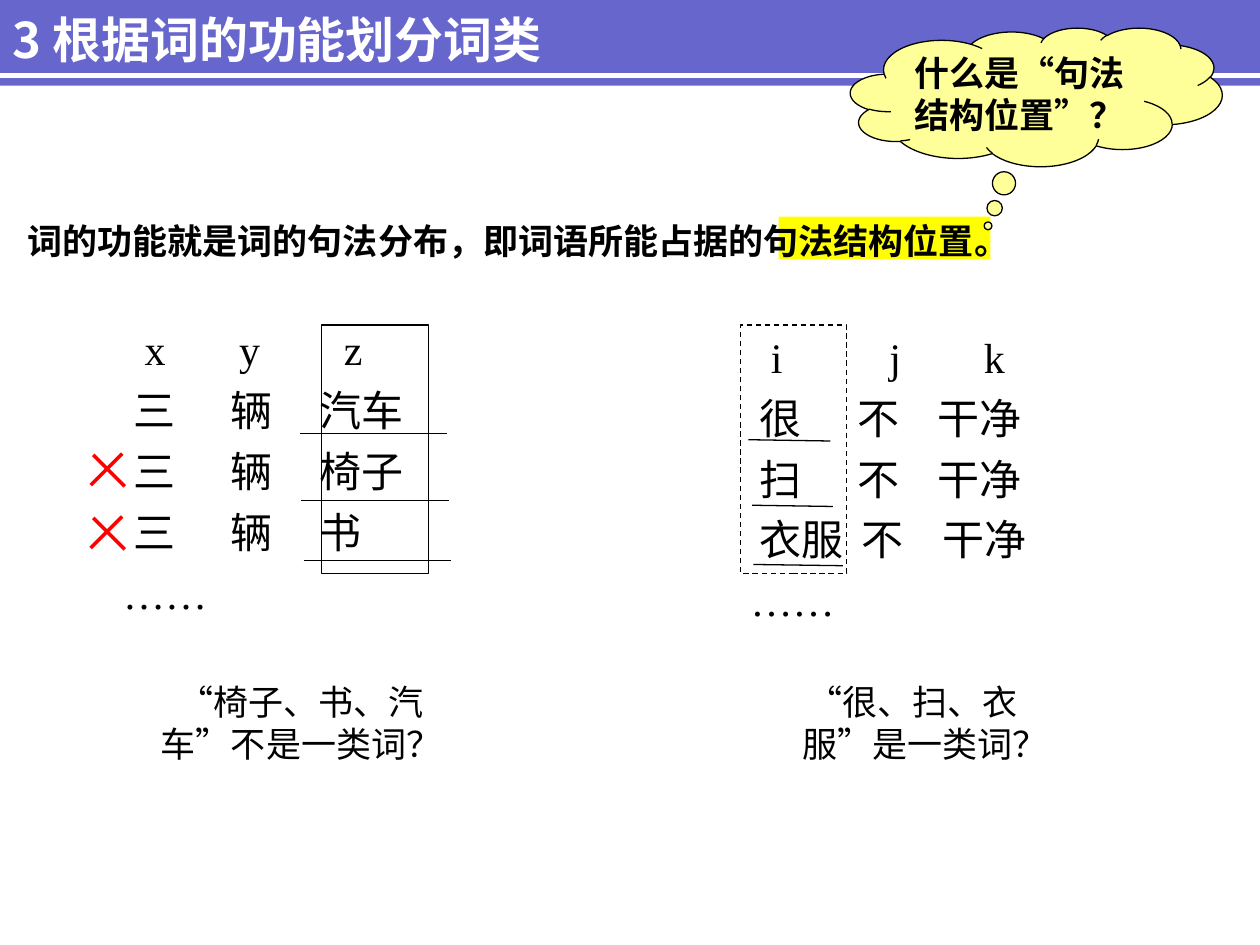
from dataclasses import dataclass
from typing import Optional

from lxml.etree import SubElement
from pptx import Presentation
from pptx.dml.color import RGBColor
from pptx.enum.dml import MSO_LINE
from pptx.enum.shapes import MSO_CONNECTOR, MSO_SHAPE
from pptx.enum.text import MSO_ANCHOR, PP_ALIGN
from pptx.oxml.ns import qn
from pptx.util import Inches, Pt

BLACK = RGBColor(0x00, 0x00, 0x00)
WHITE = RGBColor(0xFF, 0xFF, 0xFF)
RED = RGBColor(0xFF, 0x00, 0x00)
YELLOW = RGBColor(0xFF, 0xFF, 0x00)
PALE_YELLOW = RGBColor(0xFF, 0xFF, 0x99)
VIOLET = RGBColor(0x66, 0x66, 0xCC)
SANS = "Noto Sans CJK SC"
SERIF = "Times New Roman"
COLUMN_WIDTH, COLUMN_HEIGHT = 1, 2.44


@dataclass(frozen=True)
class Box:
    left: float
    top: float
    width: float
    height: float

    def lengths(self) -> list:
        return [Inches(v) for v in (self.left, self.top, self.width, self.height)]


@dataclass(frozen=True)
class Style:
    size: float
    color: RGBColor = BLACK
    bold: bool = False
    latin: str = SERIF
    space_before: float = 0


@dataclass(frozen=True)
class Column:
    left: float
    words: tuple
    indents: tuple


@dataclass(frozen=True)
class Pattern:
    top: float
    columns: tuple
    underlines: tuple


@dataclass(frozen=True)
class Question:
    box: Box
    text: str
    hanging: float = 0


HEADING = Style(28, WHITE, True, SANS)
STATEMENT = Style(20, bold=True, space_before=12.5)
THOUGHT = Style(20, bold=True)
EXAMPLE = Style(24, space_before=6)
QUERY = Style(20, space_before=12.5)

PATTERNS = (
    Pattern(
        2.52,
        (
            Column(0.88, ("x", "三", "三", "三", "……"), (0.17, 0.08, 0.08, 0.08, 0)),
            Column(1.73, ("y", "辆", "辆", "辆"), (0.07, 0, 0, 0)),
            Column(2.44, ("z", "汽车", "椅子", "书"), (0.19, 0, 0, 0)),
        ),
        ((2.38, 3.44, 3.55, 3.44), (2.39, 3.97, 3.56, 3.97), (2.41, 4.45, 3.58, 4.45)),
    ),
    Pattern(
        2.58,
        (
            Column(5.86, ("i", "很", "扫", "衣服", "……"), (0.16, 0.07, 0.07, 0.07, 0)),
            Column(6.71, ("j", "不", "不", "不"), (0.25, 0, 0, 0.03)),
            Column(7.34, ("k", "干净", "干净", "干净"), (0.37, 0, 0, 0.04)),
        ),
        ((5.94, 3.49, 6.59, 3.5), (5.97, 4.01, 6.61, 4.02), (5.98, 4.48, 6.69, 4.49)),
    ),
)
QUESTIONS = (
    Question(Box(5.98, 5.35, 2.52, 0.77), "“很、扫、衣服”是一类词？", 0.2),
    Question(Box(1.05, 5.35, 2.68, 0.77), "“椅子、书、汽车”不是一类词？"),
)
CROSS_TOPS = (3.6, 4.1)


def style_paragraph(paragraph, style: Style, align=PP_ALIGN.LEFT) -> None:
    paragraph.alignment = align
    paragraph.space_before = Pt(style.space_before)
    for run in paragraph.runs:
        run.font.name = style.latin
        run.font.size = Pt(style.size)
        run.font.bold = style.bold
        run.font.color.rgb = style.color
        SubElement(run.font._element, qn("a:ea"), typeface=SANS)


def set_indent(paragraph, margin: float, first: float = 0) -> None:
    properties = paragraph._p.get_or_add_pPr()
    properties.set("marL", str(Inches(margin)))
    properties.set("indent", str(Inches(first)))


def add_text(slide, box: Box, text: str, style: Style,
             align=PP_ALIGN.LEFT, anchor=MSO_ANCHOR.TOP):
    frame = slide.shapes.add_textbox(*box.lengths()).text_frame
    frame.word_wrap = True
    frame.vertical_anchor = anchor
    frame.text = text
    for paragraph in frame.paragraphs:
        style_paragraph(paragraph, style, align)
    return frame


def add_figure(slide, kind, box: Box, fill: Optional[RGBColor] = None,
               line: Optional[RGBColor] = None):
    figure = slide.shapes.add_shape(kind, *box.lengths())
    figure.shadow.inherit = False
    if fill is None:
        figure.fill.background()
    else:
        figure.fill.solid()
        figure.fill.fore_color.rgb = fill
    if line is None:
        figure.line.fill.background()
    else:
        figure.line.color.rgb = line
        figure.line.width = Pt(0.75)
    return figure


def add_line(slide, ends: tuple, color: RGBColor = BLACK, width: float = 0.75) -> None:
    line = slide.shapes.add_connector(MSO_CONNECTOR.STRAIGHT, *(Inches(v) for v in ends))
    line.line.color.rgb = color
    line.line.width = Pt(width)
    SubElement(line._element.spPr, qn("a:effectLst"))


def add_cross(slide, top: float) -> None:
    add_line(slide, (0.74, top + 0.01, 0.99, top + 0.26), RED, 2)
    add_line(slide, (0.97, top, 0.72, top + 0.25), RED, 2)


def add_pattern(slide, pattern: Pattern) -> None:
    for column in pattern.columns:
        box = Box(column.left, pattern.top, COLUMN_WIDTH, COLUMN_HEIGHT)
        frame = add_text(slide, box, "\n".join(column.words), EXAMPLE)
        for word, indent in zip(frame.paragraphs, column.indents):
            set_indent(word, indent)
    for ends in pattern.underlines:
        add_line(slide, ends)


def add_question(slide, question: Question) -> None:
    frame = add_text(slide, question.box, question.text, QUERY, PP_ALIGN.CENTER)
    set_indent(frame.paragraphs[0], question.hanging, -question.hanging)


def add_thought(slide) -> None:
    cloud = add_figure(slide, MSO_SHAPE.CLOUD_CALLOUT, Box(6.75, 0.22, 2.95, 1.1),
                       PALE_YELLOW, BLACK)
    cloud.adjustments[0] = -0.13
    cloud.adjustments[1] = 0.93
    frame = cloud.text_frame
    frame.word_wrap = True
    frame.vertical_anchor = MSO_ANCHOR.MIDDLE
    frame.text = "什么是“句法结构位置”？"
    style_paragraph(frame.paragraphs[0], THOUGHT)


def main() -> None:
    deck = Presentation()
    deck.slide_width, deck.slide_height = Inches(10), Inches(7.5)
    slide = deck.slides.add_slide(deck.slide_layouts[6])

    add_figure(slide, MSO_SHAPE.RECTANGLE, Box(-0.04, -0.03, 10.04, 0.71), VIOLET)
    add_line(slide, (-0.04, 0.6, 10, 0.6), WHITE, 3)
    add_figure(slide, MSO_SHAPE.RECTANGLE, Box(6.18, 1.72, 1.68, 0.34), YELLOW)
    add_text(slide, Box(0, -0.24, 7.61, 1.1), "3 根据词的功能划分词类", HEADING,
             anchor=MSO_ANCHOR.MIDDLE)
    add_text(slide, Box(0.12, 1.69, 8.43, 0.44),
             "词的功能就是词的句法分布，即词语所能占据的句法结构位置。", STATEMENT)
    add_thought(slide)
    for pattern in PATTERNS:
        add_pattern(slide, pattern)
    for top in CROSS_TOPS:
        add_cross(slide, top)
    for question in QUESTIONS:
        add_question(slide, question)
    add_figure(slide, MSO_SHAPE.RECTANGLE, Box(2.55, 2.58, 0.85, 1.97), line=BLACK)
    slot = add_figure(slide, MSO_SHAPE.RECTANGLE, Box(5.88, 2.58, 0.84, 1.97), line=BLACK)
    slot.line.dash_style = MSO_LINE.DASH

    deck.save("out.pptx")


if __name__ == "__main__":
    main()
